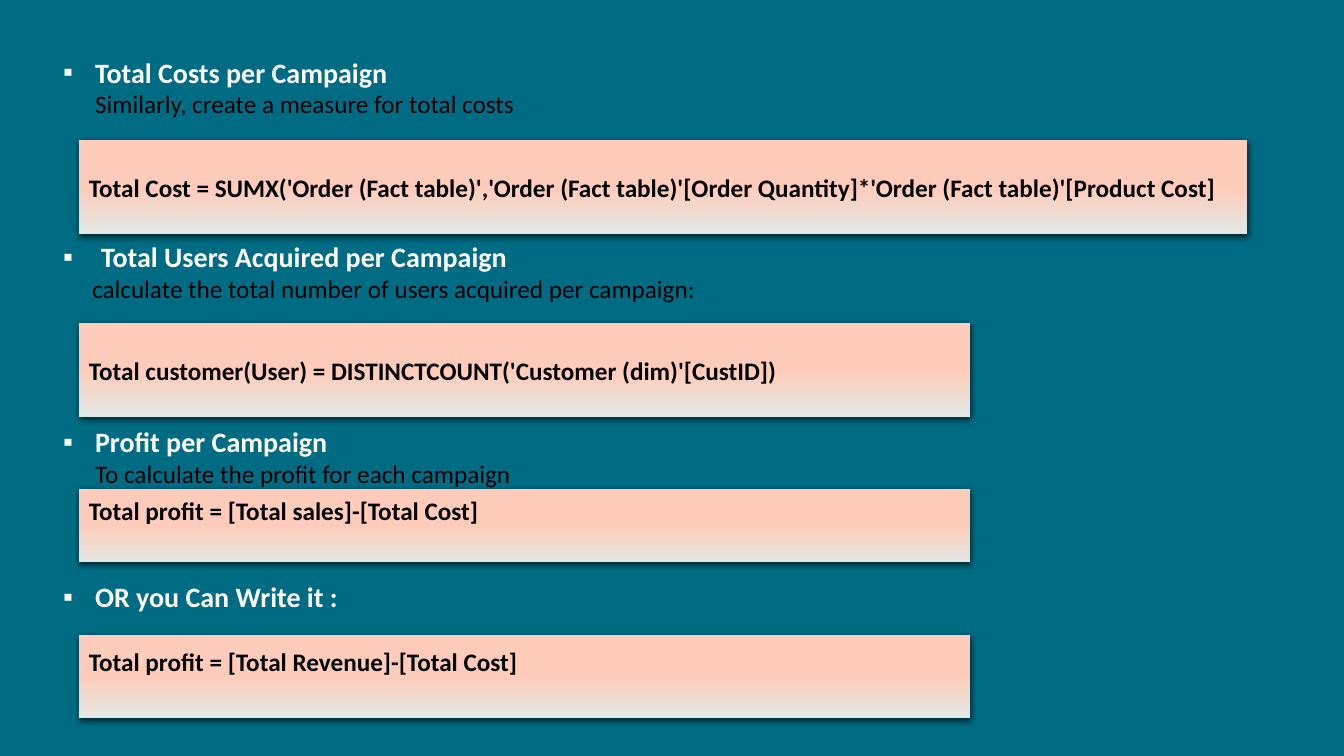
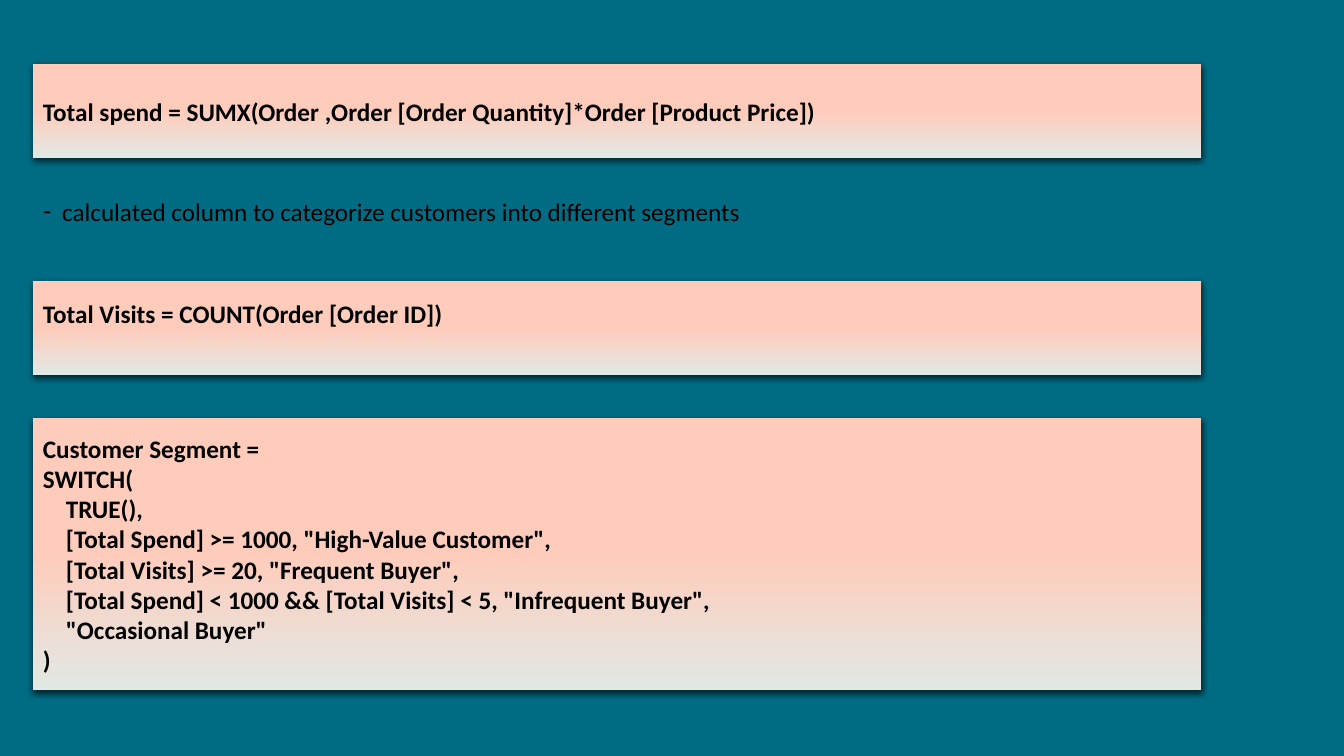
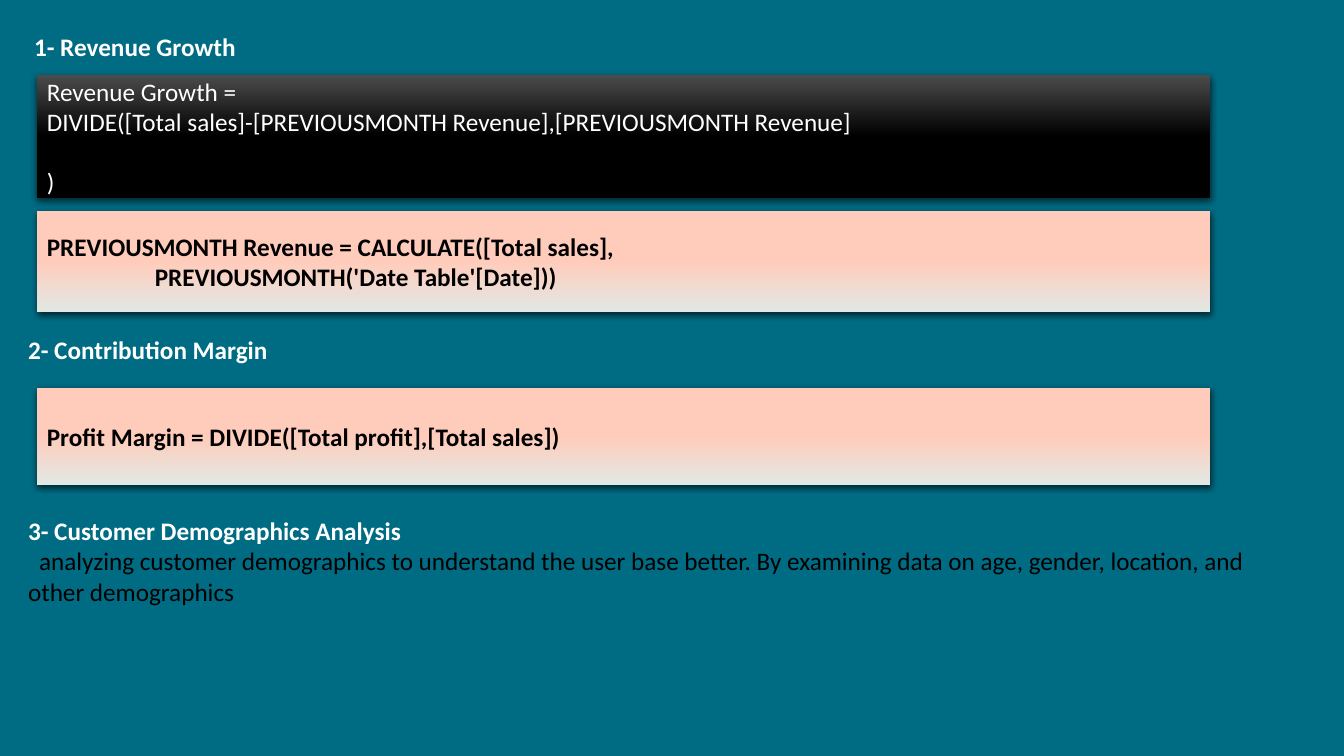
from dataclasses import dataclass

from lxml import etree
from pptx import Presentation
from pptx import util as u
from pptx.dml.color import RGBColor
from pptx.enum import shapes, text
from pptx.oxml import ns

PX = 12192000 / 1344


def px(length):
    return u.Emu(round(length * PX))


@dataclass(frozen=True)
class Theme:
    font: str = "Calibri"
    background: str = "006C84"
    light: str = "FFFFFF"
    dark: str = "000000"
    peach: tuple = ((0.49, "FFCCBB"), (1, "E2E8E4"))
    night: tuple = ((0, "4B4B4B"), (0.5, "000000"))
    large: int = 20
    normal: int = 18


THEME = Theme()


@dataclass(frozen=True)
class Line:
    text: str
    color: str = THEME.dark
    bold: bool = False
    size: int = THEME.normal
    before: int = 0
    left: int = 0
    first: int = 0
    bullet: str = ""


def heading(words, size=THEME.normal, **layout):
    return Line(words, THEME.light, True, size, **layout)


def bullet_heading(words, before=0, left=32):
    return heading(words, THEME.large, before=before, left=left, first=-left, bullet="▪")


def code(words, **layout):
    return Line(words, bold=True, **layout)


class Deck:
    def __init__(self, theme):
        self.theme = theme
        self.presentation = Presentation()
        self.presentation.slide_width = px(1344)
        self.presentation.slide_height = px(756)
        fill = self.presentation.slide_master.background.fill
        fill.solid()
        fill.fore_color.rgb = RGBColor.from_string(theme.background)
        self.slide = None

    def new_slide(self):
        self.slide = self.presentation.slides.add_slide(self.presentation.slide_layouts[1])
        title = self.slide.shapes.title
        title.element.getparent().remove(title.element)

    def add_lines(self, frame, lines):
        frame.word_wrap = True
        frame.auto_size = text.MSO_AUTO_SIZE.NONE
        for index, line in enumerate(lines):
            paragraph = frame.add_paragraph() if index else frame.paragraphs[0]
            paragraph.alignment = text.PP_ALIGN.LEFT
            paragraph.space_before = px(line.before)
            self.indent(paragraph, line)
            run = paragraph.add_run()
            run.text = line.text
            run.font.name = self.theme.font
            run.font.size = u.Pt(line.size)
            run.font.bold = line.bold
            run.font.color.rgb = RGBColor.from_string(line.color)

    def indent(self, paragraph, line):
        properties = paragraph._p.get_or_add_pPr()
        properties.set("marL", str(px(line.left)))
        properties.set("indent", str(px(line.first)))
        if line.bullet:
            etree.SubElement(properties, ns.qn("a:buFont"), typeface="Arial")
            etree.SubElement(properties, ns.qn("a:buChar"), char=line.bullet)
        else:
            etree.SubElement(properties, ns.qn("a:buNone"))

    def body(self, left, top, width, height, *lines):
        shape = self.slide.placeholders[1]
        shape.left, shape.top = px(left), px(top)
        shape.width, shape.height = px(width), px(height)
        shape.text_frame.vertical_anchor = text.MSO_ANCHOR.TOP
        self.add_lines(shape.text_frame, lines)

    def box(self, left, top, width, height, *lines, stops=None, space_below=0):
        shape = self.slide.shapes.add_shape(
            shapes.MSO_SHAPE.RECTANGLE, px(left), px(top), px(width), px(height))
        shape.line.fill.background()
        shape.fill.gradient()
        shape.fill.gradient_angle = 270
        for stop, (position, color) in zip(shape.fill.gradient_stops, stops or self.theme.peach):
            stop.position = position
            stop.color.rgb = RGBColor.from_string(color)
        self.shadow(shape)
        frame = shape.text_frame
        frame.vertical_anchor = text.MSO_ANCHOR.MIDDLE
        frame.margin_bottom = px(5 + space_below)
        self.add_lines(frame, lines)

    def shadow(self, shape):
        shape.shadow.inherit = False
        effects = shape.element.spPr.find(ns.qn("a:effectLst"))
        outer = etree.SubElement(
            effects, ns.qn("a:outerShdw"), blurRad=str(u.Pt(4.5)), dist=str(u.Pt(1.5)),
            dir="5400000", algn="ctr", rotWithShape="0")
        color = etree.SubElement(outer, ns.qn("a:srgbClr"), val=self.theme.dark)
        etree.SubElement(color, ns.qn("a:alpha"), val="63000")


def campaign_measures(deck):
    deck.new_slide()
    deck.body(
        53, 50, 1251, 668,
        bullet_heading("Total Costs per Campaign"),
        Line("Similarly, create a measure for total costs", left=32),
        bullet_heading("Total Users Acquired per Campaign", before=121, left=38),
        Line("calculate the total number of users acquired per campaign:", left=29),
        bullet_heading("Profit per Campaign", before=121),
        Line("To calculate the profit for each campaign", left=32),
        bullet_heading("OR you Can Write it :", before=91))
    for top, width, height, space_below, formula in (
        (140, 1168, 94, 0, "Total Cost = SUMX('Order (Fact table)','Order (Fact table)'"
                           "[Order Quantity]*'Order (Fact table)'[Product Cost]"),
        (323, 891, 94, 0, "Total customer(User) = DISTINCTCOUNT('Customer (dim)'[CustID])"),
        (489, 891, 73, 30, "Total profit = [Total sales]-[Total Cost]"),
        (635, 891, 83, 30, "Total profit = [Total Revenue]-[Total Cost]"),
    ):
        deck.box(79, top, width, height, code(formula), space_below=space_below)


def customer_segments(deck):
    left, width = 33, 1168
    deck.new_slide()
    deck.body(
        left, 191, width, 42,
        Line("calculated column to categorize customers into different segments",
             left=19, first=-19, bullet="-"))
    deck.box(left, 64, width, 94,
             code("Total spend = SUMX(Order ,Order [Order Quantity]*Order [Product Price])"))
    deck.box(left, 281, width, 94, code("Total Visits = COUNT(Order [Order ID])"), space_below=30)
    arguments = (
        "TRUE(),",
        '[Total Spend] >= 1000, "High-Value Customer",',
        '[Total Visits] >= 20, "Frequent Buyer",',
        '[Total Spend] < 1000 && [Total Visits] < 5, "Infrequent Buyer",',
        '"Occasional Buyer"',
    )
    deck.box(left, 418, width, 272,
             code("Customer Segment ="), code("SWITCH("),
             *(code(argument, left=23) for argument in arguments), code(")"))


def growth_and_margin(deck):
    left, width = 37, 1173
    light = deck.theme.light
    deck.new_slide()
    deck.body(
        18, 26, 1260, 600,
        heading("1- Revenue Growth", left=6),
        heading("2- Contribution Margin", before=273),
        heading("3- Customer Demographics Analysis", before=151),
        Line("analyzing customer demographics to understand the user base better. "
             "By examining data on age, gender, location, and other demographics", first=11))
    deck.box(left, 75, width, 123,
             Line("Revenue Growth =", light),
             Line("DIVIDE([Total sales]-[PREVIOUSMONTH Revenue],[PREVIOUSMONTH Revenue]", light),
             Line(")", light, before=30),
             stops=deck.theme.night)
    deck.box(left, 211, width, 101,
             code("PREVIOUSMONTH Revenue = CALCULATE([Total sales],"),
             code("PREVIOUSMONTH('Date Table'[Date]))", left=108))
    deck.box(left, 388, width, 97,
             code("Profit Margin = DIVIDE([Total profit],[Total sales])"))


def main():
    deck = Deck(THEME)
    campaign_measures(deck)
    customer_segments(deck)
    growth_and_margin(deck)
    deck.presentation.save("out.pptx")


if __name__ == "__main__":
    main()
